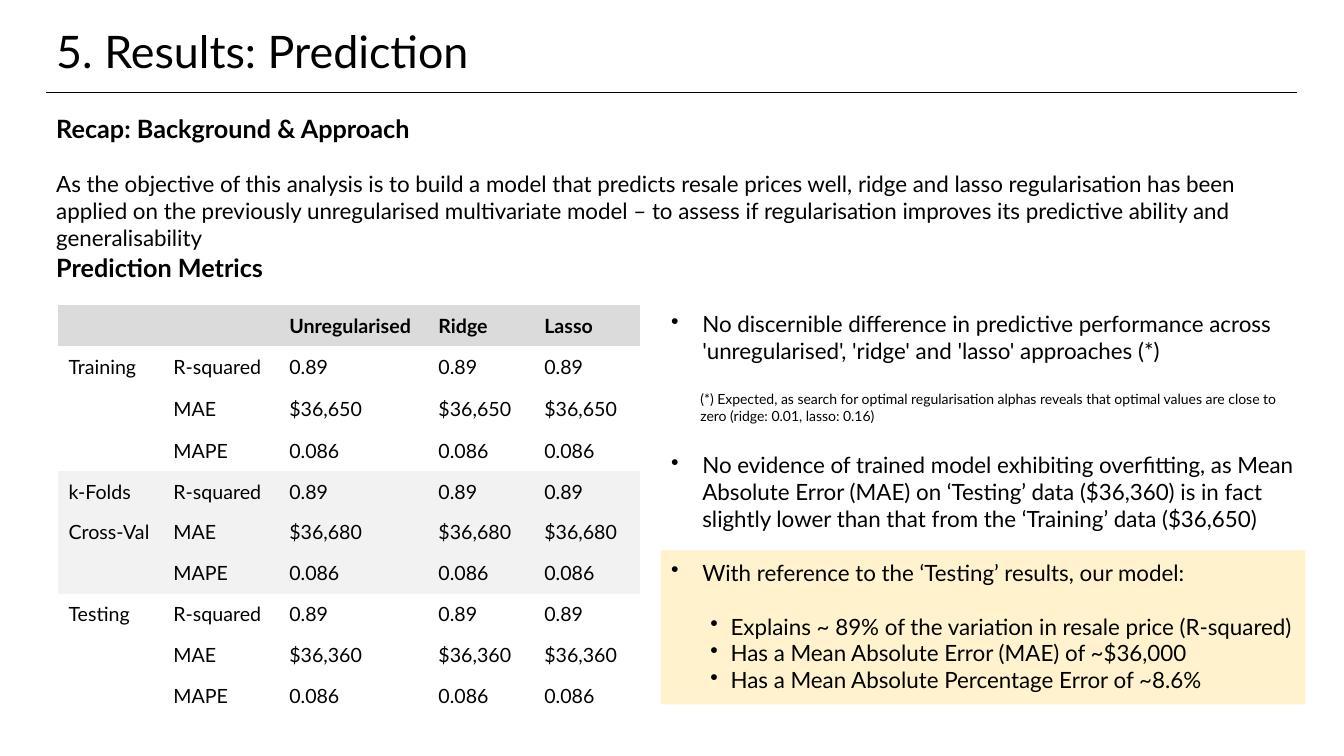
import lxml.etree
import pptx
import pptx.dml.color
import pptx.enum.shapes
import pptx.enum.text
import pptx.oxml.ns
import pptx.util

COLOURS = {"ink": "000000", "header": "DBDBDB", "band": "F2F2F2", "highlight": "FFF2CC"}
PLAIN_TABLE = "{2D5ABB26-0587-4C30-8999-92F81FD0307C}"
BLANK_LINE = 19.2


def colour(name):
    return pptx.dml.color.RGBColor.from_string(COLOURS[name])


def write_text(para, text, size=16, bold=False, before=0, margin=0, hanging=0):
    properties = para._p.get_or_add_pPr()
    properties.set("marL", str(pptx.util.Inches(margin)))
    properties.set("indent", str(-pptx.util.Inches(hanging)))
    if hanging:
        bullet = lxml.etree.SubElement(properties, pptx.oxml.ns.qn("a:buChar"))
        bullet.set("char", "•")
    if before:
        para.space_before = pptx.util.Pt(before)
    span = para.add_run()
    span.text = text
    span.font.name = "Lato"
    span.font.size = pptx.util.Pt(size)
    span.font.bold = bold
    span.font.color.rgb = colour("ink")


class Page:
    """Draw styled elements on one slide, placed on a grid of 40 columns and 30 rows."""

    def __init__(self, deck):
        self.column = deck.slide_width / 40
        self.row = deck.slide_height / 30
        self.shapes = deck.slides.add_slide(deck.slide_layouts[6]).shapes

    def across(self, columns):
        return round(columns * self.column)

    def down(self, rows):
        return round(rows * self.row)

    def place(self, left, top, width, height):
        return self.across(left), self.down(top), self.across(width), self.down(height)

    def panel(self, area, fill):
        panel = self.shapes.add_shape(pptx.enum.shapes.MSO_SHAPE.RECTANGLE, *self.place(*area))
        panel.shadow.inherit = False
        panel.fill.solid()
        panel.fill.fore_color.rgb = colour(fill)
        panel.line.fill.background()

    def rule(self, left, right, top):
        rule = self.shapes.add_connector(
            pptx.enum.shapes.MSO_CONNECTOR.STRAIGHT,
            self.across(left), self.down(top), self.across(right), self.down(top))
        rule.line.color.rgb = colour("ink")
        rule.line.width = pptx.util.Pt(0.5)
        lxml.etree.SubElement(rule._element.spPr, pptx.oxml.ns.qn("a:effectLst"))

    def text(self, area, *paragraphs):
        frame = self.shapes.add_textbox(*self.place(*area)).text_frame
        frame.word_wrap = True
        frame.auto_size = pptx.enum.text.MSO_AUTO_SIZE.SHAPE_TO_FIT_TEXT
        for index, (text, style) in enumerate(paragraphs):
            para = frame.add_paragraph() if index else frame.paragraphs[0]
            write_text(para, text, **style)

    def table(self, left, top, widths, heights, rows, fills):
        area = self.place(left, top, sum(widths), sum(heights))
        table = self.shapes.add_table(len(rows), len(widths), *area).table
        table.first_row = table.horz_banding = False
        table._tbl.tblPr.find(pptx.oxml.ns.qn("a:tableStyleId")).text = PLAIN_TABLE
        for column, width in zip(table.columns, widths):
            column.width = self.across(width)
        for index, (row, height, fill) in enumerate(zip(rows, heights, fills)):
            table.rows[index].height = self.down(height)
            for cell, text in zip(table.rows[index].cells, row):
                cell.vertical_anchor = pptx.enum.text.MSO_ANCHOR.MIDDLE
                if fill:
                    cell.fill.solid()
                    cell.fill.fore_color.rgb = colour(fill)
                else:
                    cell.fill.background()
                if text:
                    write_text(cell.text_frame.paragraphs[0], text, size=14, bold=index == 0)


def metric_rows():
    rows = [["", "", "Unregularised", "Ridge", "Lasso"]]
    groups = [(("Training", "", ""), "$36,650"),
              (("k-Folds", "Cross-Val", ""), "$36,680"),
              (("Testing", "", ""), "$36,360")]
    for labels, error in groups:
        metrics = [("R-squared", "0.89"), ("MAE", error), ("MAPE", "0.086")]
        rows += [[label, metric] + [value] * 3 for label, (metric, value) in zip(labels, metrics)]
    return rows


def main():
    deck = pptx.Presentation()
    deck.slide_width = pptx.util.Inches(40 / 3)
    deck.slide_height = pptx.util.Inches(7.5)
    page = Page(deck)
    heading = {"size": 18, "bold": True}
    finding = {"margin": 0.31, "hanging": 0.31}
    later_finding = {**finding, "before": BLANK_LINE}
    detail = {"margin": 0.59, "hanging": 0.2}

    page.panel((19.68, 21.84, 19.17, 6.12), "highlight")
    page.text((1.38, 0.76, 37.2, 2.56), ("5. Results: Prediction", {"size": 32}))
    page.rule(1.38, 38.61, 3.68)
    page.text(
        (1.38, 4.28, 37.68, 4.84),
        ("Recap: Background & Approach", heading),
        ("As the objective of this analysis is to build a model that predicts resale prices well, "
         "ridge and lasso regularisation has been applied on the previously unregularised "
         "multivariate model – to assess if regularisation improves its predictive ability and "
         "generalisability", {"before": BLANK_LINE}))
    page.table(1.74, 12.12, [3.12, 3.45, 4.44, 3.15, 3.15],
               [1.62] * 2 + [1.72] + [1.62] * 7, metric_rows(),
               ["header"] + [None] * 3 + ["band"] * 3 + [None] * 3)
    page.text((1.38, 9.8, 17.31, 1.6), ("Prediction Metrics", heading))
    page.text(
        (19.68, 12.12, 19.41, 15.76),
        ("No discernible difference in predictive performance across 'unregularised', 'ridge' "
         "and 'lasso' approaches (*)", finding),
        ("(*) Expected, as search for optimal regularisation alphas reveals that optimal values "
         "are close to zero (ridge: 0.01, lasso: 0.16)",
         {"size": 10, "margin": 0.29, "before": BLANK_LINE}),
        ("No evidence of trained model exhibiting overfitting, as Mean Absolute Error (MAE) on "
         "‘Testing’ data ($36,360) is in fact slightly lower than that from the ‘Training’ data "
         "($36,650)", later_finding),
        ("With reference to the ‘Testing’ results, our model:", later_finding),
        ("Explains ~ 89% of the variation in resale price (R-squared)",
         {**detail, "before": BLANK_LINE}),
        ("Has a Mean Absolute Error (MAE) of ~$36,000", detail),
        ("Has a Mean Absolute Percentage Error of ~8.6%", detail))
    deck.save("out.pptx")


if __name__ == "__main__":
    main()
